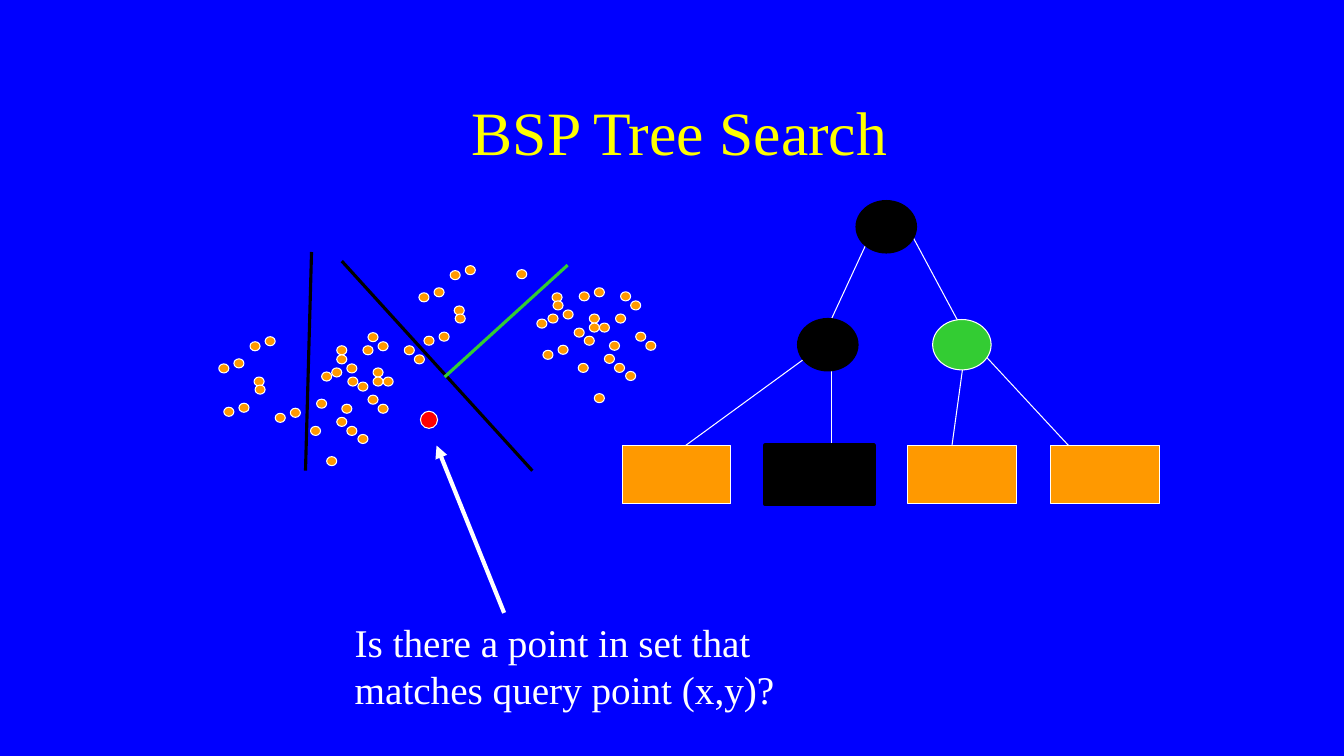
"""Build the BSP Tree Search slide: a partitioned point set and its tree."""
from lxml import etree
from pptx import Presentation
from pptx.dml.color import RGBColor
from pptx.enum.shapes import MSO_CONNECTOR, MSO_SHAPE
from pptx.enum.text import MSO_ANCHOR, PP_ALIGN
from pptx.oxml.ns import qn
from pptx.util import Inches, Pt

BLUE, WHITE, BLACK, YELLOW = "0000FF", "FFFFFF", "000000", "FFFF00"
ORANGE, GREEN, RED = "FF9900", "33CC33", "FF0000"
color = RGBColor.from_string


def add_shape(kind, box, fill, line=WHITE, width=0.75):
    sp = s.shapes.add_shape(kind, *map(Inches, box))
    sp.shadow.inherit = False
    sp.fill.solid()
    sp.fill.fore_color.rgb = color(fill)
    sp.line.color.rgb = color(line)
    sp.line.width = Pt(width)
    return sp


def add_line(ends, line=WHITE, width=0.75):
    cn = s.shapes.add_connector(MSO_CONNECTOR.STRAIGHT, *map(Inches, ends))
    cn.line.color.rgb = color(line)
    cn.line.width = Pt(width)
    etree.SubElement(cn._element.spPr, qn("a:effectLst"))
    return cn


prs = Presentation()
prs.slide_width, prs.slide_height = Inches(13.33), Inches(7.5)
s = prs.slides.add_slide(prs.slide_layouts[6])
s.background.fill.solid()
s.background.fill.fore_color.rgb = color(BLUE)

texts = [
    (" BSP Tree Search", (1, 0.67, 11.33, 1.25), 44, YELLOW,
     PP_ALIGN.CENTER, MSO_ANCHOR.MIDDLE),
    ("Is there a point in set that matches query point (x,y)?",
     (3.42, 6.08, 4.67, 1.05), 28, WHITE, PP_ALIGN.LEFT, MSO_ANCHOR.TOP),
]
for text, box, size, ink, align, anchor in texts:
    tf = s.shapes.add_textbox(*map(Inches, box)).text_frame
    tf.word_wrap, tf.vertical_anchor = True, anchor
    p = tf.paragraphs[0]
    p.alignment = align
    r = p.add_run()
    r.text = text
    for name, value in {"name": "Times New Roman", "size": Pt(size)}.items():
        setattr(r.font, name, value)
    r.font.color.rgb = color(ink)

motifs = {
    "hook pair": [(0, 0), (-0.15, 0.05)],
    "hook slant": [(0.2, 0.18), (0.05, 0.44)],
    "hook end": [(-0.1, 0.48)],
    "crest tip": [(0, 0)],
    "crest arc": [(0.1, 0.09), (-0.05, 0.13), (0.36, 0.13), (0.46, 0.22)],
    "fan pair": [(0, 0), (-0.15, 0.05)],
    "fan rays": [(0.2, 0.18), (0.26, -0.09), (0.36, 0.48), (0.46, 0.09), (0.56, 0.18)],
}
usual_echo, far_echo = (0.31, -0.22), (0.82, -0.31)
left_cluster = {
    "anchors": {"hook": (2.32, 3.56), "crest": (3.34, 3.52), "fan": (2.88, 4.05)},
    "echoes": {"hook slant": far_echo, "fan pair": far_echo},
    "size": (0.1, 0.09), "turn": 0,
}
right_cluster = {
    "anchors": {"hook": (4.31, 2.85), "crest": (5.49, 2.98), "fan": (5.54, 3.42)},
    "echoes": {"hook slant": (0.97, -0.13), "crest tip": (-0.36, -0.31)},
    "size": (0.09, 0.1), "turn": 270,
}
for cluster in (left_cluster, right_cluster):
    for motif, offsets in motifs.items():
        x, y = cluster["anchors"][motif.split()[0]]
        echo = cluster["echoes"].get(motif, usual_echo)
        for shift_x, shift_y in [(0, 0), echo]:
            for dx, dy in offsets:
                box = (x + shift_x + dx, y + shift_y + dy, *cluster["size"])
                add_shape(MSO_SHAPE.OVAL, box, ORANGE).rotation = cluster["turn"]

splits = {
    "middle": ((3.39, 2.59, 5.28, 4.67), BLACK),
    "right": ((5.63, 2.63, 4.41, 3.74), GREEN),
    "left": ((3.09, 2.5, 3.03, 4.67), BLACK),
}
for ends, ink in splits.values():
    add_line(ends, ink, 2.25)

branches = {
    "root": [(8.67, 2.25, 8.17, 3.33), (9, 2.25, 9.67, 3.5)],
    "left child": [(8.17, 3.42, 6.58, 4.58), (8.25, 3.42, 8.25, 4.67)],
    "right child": [(9.58, 3.42, 9.42, 4.58), (9.67, 3.42, 10.83, 4.67)],
}
for pair in branches.values():
    for ends in pair:
        add_line(ends)

plain_leaf, visited_leaf = (ORANGE, WHITE, 0.75), (BLACK, BLACK, 3)
plain_node, visited_node = (GREEN, WHITE, 0.75), (BLACK, BLACK, 2.25)
nodes = {
    "root": (8.5, 2, visited_node),
    "left child": (7.92, 3.17, visited_node),
    "right child": (9.25, 3.17, plain_node),
}
for x, y, style in nodes.values():
    add_shape(MSO_SHAPE.OVAL, (x, y, 0.58, 0.5), *style)

leaf_left, leaf_pitch = 6.17, 4.25 / 3
for i, style in enumerate([plain_leaf, visited_leaf, plain_leaf, plain_leaf]):
    box = (leaf_left + i * leaf_pitch, 4.42, 1.08, 0.58)
    add_shape(MSO_SHAPE.RECTANGLE, box, *style)

query_point = (4.17, 4.08, 0.17, 0.17)
add_shape(MSO_SHAPE.OVAL, query_point, RED)
query_arrow = add_line((5, 6.08, 4.33, 4.42), WHITE, 3)
etree.SubElement(query_arrow.line._get_or_add_ln(), qn("a:tailEnd"), type="triangle")

prs.save("out.pptx")
